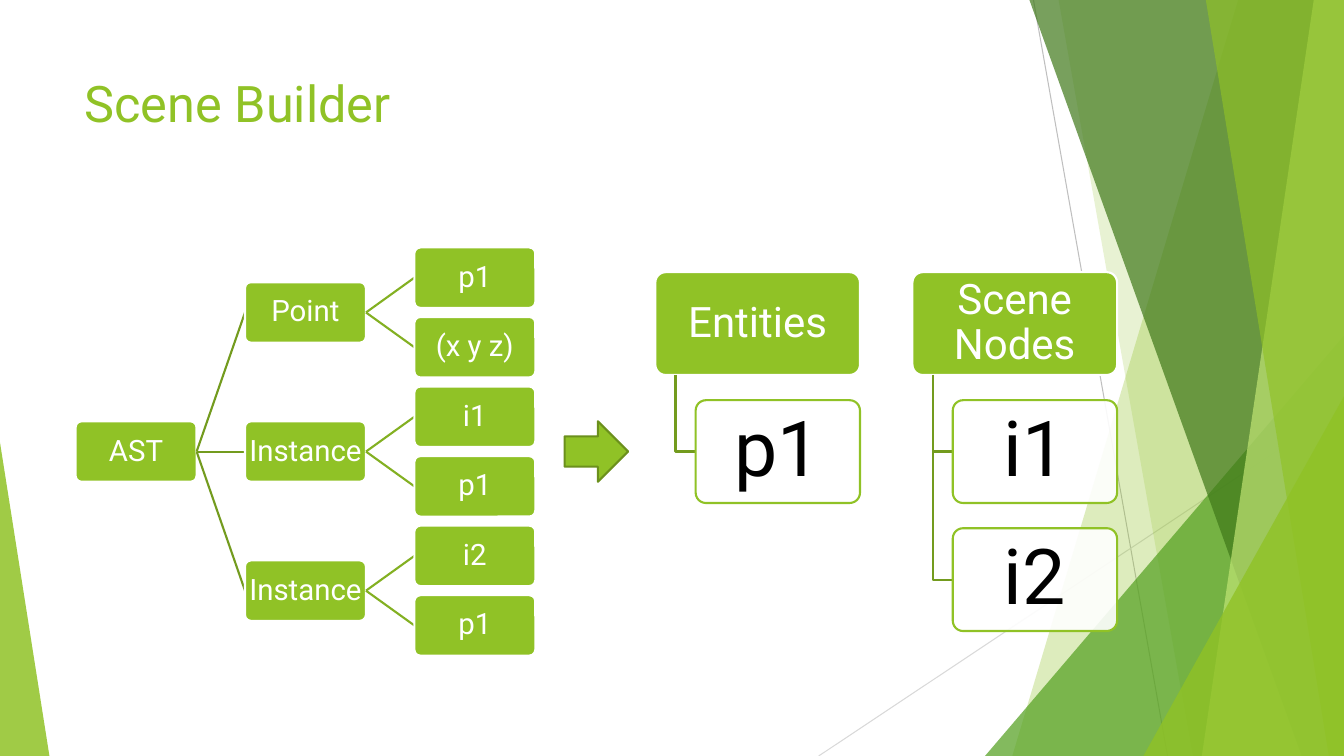
from lxml.etree import SubElement
from pptx import Presentation
from pptx.dml.color import RGBColor
from pptx.enum.shapes import MSO_CONNECTOR, MSO_SHAPE
from pptx.enum.text import MSO_ANCHOR, PP_ALIGN
from pptx.oxml.ns import qn
from pptx.util import Inches, Pt

HUES = {
    "lime": "90C226", "leaf": "54A021", "forest": "3F7819", "pale": "C0E474",
    "trunk": "739B1E", "twig": "83B022", "edge": "6B901C",
    "gray": "BFBFBF", "mist": "D9D9D9", "white": "FFFFFF", "black": "000000",
}
FACETS = [
    ([(12.28, 0), (13.33, 0), (13.33, 7.5), (10.04, 7.5)], "lime", 30),
    ([(10.5, 0), (13.33, 0), (13.33, 7.5), (11.83, 7.5)], "lime", 20),
    ([(13.33, 3.33), (13.33, 7.5), (9.77, 7.5)], "leaf", 72),
    ([(10.21, 0), (13.33, 0), (13.33, 7.5), (12.91, 7.5)], "forest", 70),
    ([(13.03, 0), (13.33, 0), (13.33, 7.5), (11.92, 7.5)], "pale", 70),
    ([(11.96, 0), (13.33, 0), (13.33, 7.5), (13.18, 7.5)], "lime", 65),
    ([(13.33, 3.93), (13.33, 7.5), (11.34, 7.5)], "lime", 80),
    ([(0, 4.39), (0.49, 7.5), (0, 7.5)], "lime", 85),
]
TREE = [("Point", ["p1", "(x y z)"]), ("Instance", ["i1", "p1"]),
        ("Instance", ["i2", "p1"])]
LISTS = [("Entities", ["p1"]), ("Scene Nodes", ["i1", "i2"])]


def color(name):
    """Return the colour of that name."""
    return RGBColor.from_string(HUES[name])


def paint(shape, fill=None, alpha=100, line=None):
    """Set the fill, opacity and outline of a shape."""
    shape.shadow.inherit = False
    if fill:
        shape.fill.solid()
        shape.fill.fore_color.rgb = color(fill)
        if alpha < 100:
            tint = shape._element.xpath("./p:spPr/a:solidFill/a:srgbClr")[0]
            SubElement(tint, qn("a:alpha")).set("val", str(alpha * 1000))
    else:
        shape.fill.background()
    if line:
        shape.line.color.rgb = color(line)
        shape.line.width = Pt(1.5)
    else:
        shape.line.fill.background()


def write(shape, text, size, hue="white", align=PP_ALIGN.CENTER,
          anchor=MSO_ANCHOR.MIDDLE, pad=(0.03, 0.03), space=0.9):
    """Put formatted text in a shape."""
    frame = shape.text_frame
    frame.word_wrap = True
    frame.vertical_anchor = anchor
    frame.margin_left = frame.margin_right = Inches(pad[0])
    frame.margin_top = frame.margin_bottom = Inches(pad[1])
    para = frame.paragraphs[0]
    para.alignment = align
    para.line_spacing = space
    run = para.add_run()
    run.text = text
    run.font.name = "Roboto"
    run.font.size = Pt(size)
    run.font.color.rgb = color(hue)


def box(slide, text, x, y, w, h, size, fill="lime", line="white",
        hue="white", alpha=100, pad=(0.03, 0.03)):
    """Add a rounded box with text."""
    shape = slide.shapes.add_shape(MSO_SHAPE.ROUNDED_RECTANGLE, Inches(x),
                                   Inches(y), Inches(w), Inches(h))
    shape.adjustments[0] = 0.1
    paint(shape, fill, alpha, line)
    write(shape, text, size, hue, pad=pad)


def link(slide, start, end, hue, width=1.5):
    """Add a straight line between two points."""
    ends = [Inches(v) for v in (*start, *end)]
    line = slide.shapes.add_connector(MSO_CONNECTOR.STRAIGHT, *ends)
    line.line.color.rgb = color(hue)
    line.line.width = Pt(width)
    SubElement(line._element.spPr, qn("a:effectLst"))


def trace(slide, points, close=True, **style):
    """Add an outline through the points."""
    spots = [(Inches(x), Inches(y)) for x, y in points]
    pen = slide.shapes.build_freeform(*spots[0])
    pen.add_line_segments(spots[1:], close=close)
    paint(pen.convert_to_shape(), **style)


def backdrop(slide):
    """Draw the thin lines and the green facets."""
    link(slide, (10.25, 0), (11.58, 7.5), "gray", 0.75)
    link(slide, (13.33, 4.03), (8.12, 7.5), "mist", 0.75)
    for points, fill, alpha in FACETS:
        trace(slide, points, fill=fill, alpha=alpha)


def tree(slide):
    """Draw the syntax tree from root to leaves."""
    wide, high, step, gap = 1.2, 0.6, 0.69, 0.48
    root, stem, tip = [0.75 + i * (wide + gap) for i in range(3)]
    mid = 4.48

    def node(text, x, y):
        """Add a tree box centred on a height."""
        box(slide, text, x, y - high / 2, wide, high, 21, pad=(0.01, 0.01))

    node("AST", root, mid)
    for i, (name, leaves) in enumerate(TREE):
        y = mid + (i - 1) * 2 * step
        link(slide, (root + wide, mid), (stem, y), "trunk")
        node(name, stem, y)
        for j, leaf in enumerate(leaves):
            end = y + (j - 0.5) * step
            link(slide, (stem + wide, y), (tip, end), "twig")
            node(leaf, tip, end)


def lists(slide):
    """Draw each heading with its items hung below."""
    wide, high, top, step = 2.03, 1.02, 2.7, 1.27
    for i, (head, items) in enumerate(LISTS):
        x = 6.5 + i * 2.55
        box(slide, head, x, top, wide, high, 30, pad=(0.09, 0.07))
        for j, item in enumerate(items, 1):
            y = top + j * step
            mid = y + high / 2
            trace(slide, [(x + 0.2, top + high), (x + 0.2, mid),
                          (x + 0.4, mid)], close=False, line="trunk")
            box(slide, item, x + 0.4, y, 1.63, high, 55, "white", "lime",
                "black", 90, (0.14, 0.11))


def main():
    """Build the slide and save it."""
    deck = Presentation()
    deck.slide_width, deck.slide_height = Inches(13.33), Inches(7.5)
    slide = deck.slides.add_slide(deck.slide_layouts[5])
    backdrop(slide)
    title = slide.shapes.title
    title.left, title.top = Inches(0.74), Inches(0.67)
    title.width, title.height = Inches(9.4), Inches(1.44)
    write(title, "Scene Builder", 36, "lime", PP_ALIGN.LEFT, MSO_ANCHOR.TOP,
          (0.1, 0.05), 1)
    tree(slide)
    lists(slide)
    arrow = slide.shapes.add_shape(MSO_SHAPE.RIGHT_ARROW, Inches(5.6),
                                   Inches(4.18), Inches(0.63), Inches(0.6))
    paint(arrow, "lime", line="edge")
    deck.save("out.pptx")


main()
